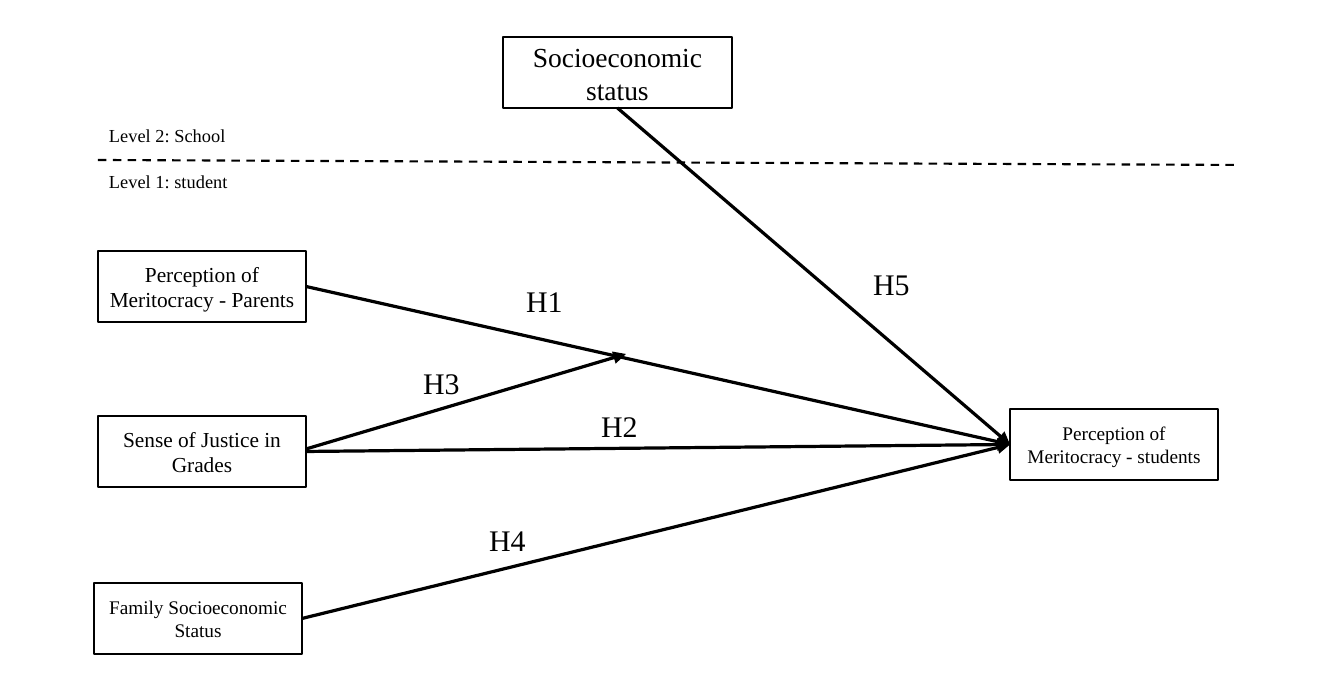
import dataclasses

import pptx
import pptx.dml.color
import pptx.enum.dml
import pptx.enum.shapes
import pptx.enum.text
import pptx.oxml
import pptx.oxml.ns
import pptx.util

EMU_PER_PX = 914400 / 153.8
SLIDE_W, SLIDE_H = 1344, 684
TOP, LEFT, BOTTOM, RIGHT = range(4)
ANCHOR = pptx.enum.text.MSO_ANCHOR
ALIGN = pptx.enum.text.PP_ALIGN


@dataclasses.dataclass(frozen=True)
class Theme:
    """Colours, font, type sizes and line widths of the diagram."""
    ink: str = "000000"
    paper: str = "FFFFFF"
    font: str = "Times New Roman"
    school: float = 12.9
    predictor: float = 10
    small: float = 9
    level: float = 8.6
    hypothesis: float = 14
    border: float = 1
    arrow: float = 1.5


THEME = Theme()


def px(n):
    """Turn pixels into EMU."""
    return pptx.util.Emu(round(n * EMU_PER_PX))


def rgb(code):
    """Turn a hex code into a colour."""
    return pptx.dml.color.RGBColor.from_string(code)


def place(box, x, y, w, h):
    """Return the EMU frame of a part placed relative to a region box."""
    return px(box[0] + x), px(box[1] + y), px(w), px(h)


def write(sp, text, size, align=ALIGN.LEFT):
    """Write wrapped text in a shape and format its run."""
    tf = sp.text_frame
    tf.word_wrap = True
    tf.text = text
    p = tf.paragraphs[0]
    p.alignment = align
    font = p.runs[0].font
    font.name, font.size = THEME.font, pptx.util.Pt(size)
    font.color.rgb = rgb(THEME.ink)
    return tf


def center(tf):
    """Centre text vertically within narrow margins."""
    tf.vertical_anchor = ANCHOR.MIDDLE
    tf.margin_left = tf.margin_right = px(11)
    tf.margin_top = tf.margin_bottom = px(6)


def add_variable(s, frame, text, size):
    """Add a bordered box that names a variable."""
    sp = s.shapes.add_shape(pptx.enum.shapes.MSO_SHAPE.RECTANGLE, *frame)
    sp.shadow.inherit = False
    sp.fill.solid()
    sp.fill.fore_color.rgb = rgb(THEME.paper)
    sp.line.color.rgb = rgb(THEME.ink)
    sp.line.width = pptx.util.Pt(THEME.border)
    center(write(sp, text, size, ALIGN.CENTER))
    return sp


def add_level(s, frame, text):
    """Add the caption of a level."""
    center(write(s.shapes.add_textbox(*frame), text, THEME.level))


def add_hypothesis(s, box, x, y, text):
    """Add a hypothesis label."""
    sp = s.shapes.add_textbox(*place(box, x, y, 120, 52))
    write(sp, text, THEME.hypothesis)


def add_line(s, box, start, end, width):
    """Add a plain straight line between two points of a region."""
    x1, y1 = place(box, *start, 0, 0)[:2]
    x2, y2 = place(box, *end, 0, 0)[:2]
    line = s.shapes.add_connector(
        pptx.enum.shapes.MSO_CONNECTOR.STRAIGHT, x1, y1, x2, y2)
    line.line.color.rgb = rgb(THEME.ink)
    line.line.width = pptx.util.Pt(width)
    pptx.oxml.ns.qn("a:effectLst")
    effects = line._element.spPr.makeelement(pptx.oxml.ns.qn("a:effectLst"), {})
    line._element.spPr.append(effects)
    return line


def add_arrow(s, box, start=(0, 0), end=(0, 0)):
    """Add a straight arrow with a triangular head."""
    arrow = add_line(s, box, start, end, THEME.arrow)
    ln = arrow.line._get_or_add_ln()
    ln.append(ln.makeelement(pptx.oxml.ns.qn("a:tailEnd"), {"type": "triangle"}))
    return arrow


def link(s, box, source, side, outcome):
    """Glue an arrow from one side of a variable to the outcome."""
    arrow = add_arrow(s, box)
    arrow.begin_connect(source, side)
    arrow.end_connect(outcome, LEFT)


def add_school_level(s, box):
    """Build the school level and return its variable."""
    add_level(s, place(box, 98, 121, 154, 28), "Level 2: School")
    return add_variable(s, place(box, 503, 37, 229, 71),
                        "Socioeconomic status", THEME.school)


def add_student_level(s, box, school_status):
    """Build the student level with the paths that lead to its outcome."""
    divider = add_line(s, box, (98, -2), (1237, 3), THEME.border)
    divider.line.dash_style = pptx.enum.dml.MSO_LINE.DASH
    add_level(s, place(box, 98, 7, 181, 25), "Level 1: student")

    outcome = add_variable(s, place(box, 1010, 247, 208, 71),
                           "Perception of Meritocracy - students", THEME.small)
    predictors = [
        (98, 89, "Perception of Meritocracy - Parents", THEME.predictor),
        (98, 254, "Sense of Justice in Grades", THEME.predictor),
        (94, 421, "Family Socioeconomic Status", THEME.small),
    ]
    for x, y, text, size in predictors:
        sp = add_variable(s, place(box, x, y, 208, 71), text, size)
        link(s, box, sp, RIGHT, outcome)
    link(s, box, school_status, BOTTOM, outcome)
    add_arrow(s, box, (306, 287), (626, 192))

    hypotheses = [(511, 113), (586, 238), (408, 195), (474, 352), (858, 96)]
    for number, (x, y) in enumerate(hypotheses, 1):
        add_hypothesis(s, box, x, y, f"H{number}")


def main():
    """Build and save the path model."""
    prs = pptx.Presentation()
    prs.slide_width, prs.slide_height = px(SLIDE_W), px(SLIDE_H)
    s = prs.slides.add_slide(prs.slide_layouts[6])
    split = 162
    school_status = add_school_level(s, (0, 0, SLIDE_W, split))
    add_student_level(s, (0, split, SLIDE_W, SLIDE_H - split), school_status)
    prs.save("out.pptx")


main()
